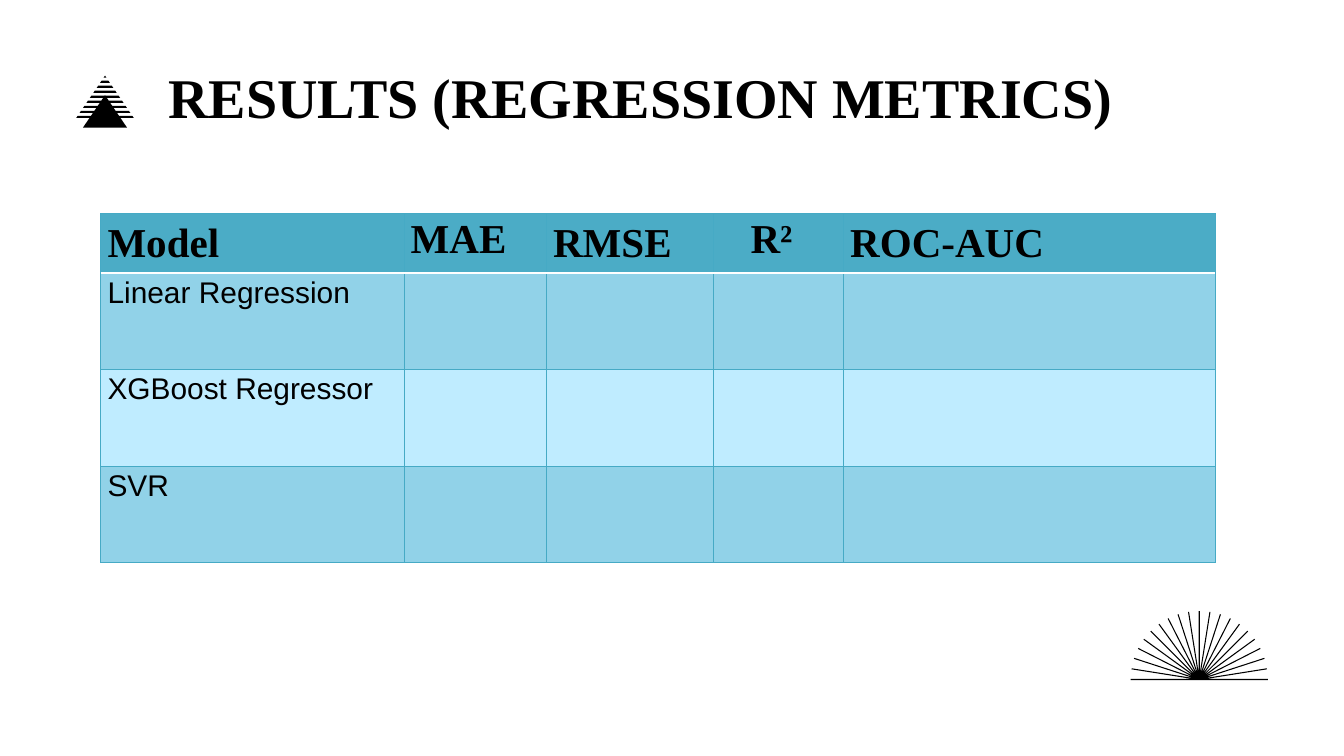
from math import cos, radians, sin

from lxml.etree import SubElement
from pptx import Presentation
from pptx.dml.color import RGBColor
from pptx.enum.text import MSO_ANCHOR
from pptx.oxml.ns import qn
from pptx.util import Cm, Pt

COLORS = {
    "ink": "000000",
    "paper": "FFFFFF",
    "head": "4BACC6",
    "dark": "91D2E8",
    "light": "BFECFF",
    "line": "46AAC5",
}
SERIF = "Times New Roman"
SANS = "Arial"


def rgb(name):
    return RGBColor.from_string(COLORS[name])


def write(frame, text, size=32, font=SANS, bold=False, color="ink"):
    par = frame.paragraphs[0]
    run = par.add_run()
    run.text = text
    run.font.size = Pt(size)
    run.font.name = font
    run.font.bold = bold
    run.font.color.rgb = rgb(color)


def edge(cell, side, color, width):
    """Draw one border; side is L, R, T or B, called in that order."""
    line = SubElement(cell._tc.get_or_add_tcPr(), qn(f"a:ln{side}"), w=str(Pt(width)))
    fill = SubElement(line, qn("a:solidFill"))
    SubElement(fill, qn("a:srgbClr"), val=COLORS[color])


def peak(mid, top, slope=0.68, pitch=0.19, thick=0.08):
    """Outlines of a striped triangle merged with a smaller solid one."""
    front, base = top + 0.74, top + 1.97
    bands = [(top + pitch * i, top + pitch * i + thick) for i in range(9)]

    def mirror(right):
        left = [(2 * mid - x, y) for x, y in reversed(right)]
        return right + left

    def side(y, apex):
        return mid + slope * (y - apex), y

    loops = [mirror([side(y, top) for y in band]) for band in bands[:4]]
    right = [side(front, front)]
    for start, end in bands[4:]:
        right += [side(start, front), side(start, top),
                  side(end, top), side(end, front)]
    right.append(side(base, front))
    return loops + [mirror(right)]


def sun(x, y, radius, half=0.02, step=9):
    """Outline of a half circle of thin rays that merge near the centre."""
    inner = half / sin(radians(step / 2))
    points = []
    for angle in range(0, 181, step):
        turn = radians(angle)
        for side in (half, -half):
            # The side of the last ray is flipped in y, which closes the base.
            points.append((x + radius * cos(turn) + side * sin(turn),
                           y - radius * sin(turn) + side * cos(turn)))
        if angle < 180:
            gap = radians(angle + step / 2)
            points.append((x + inner * cos(gap), y - inner * sin(gap)))
    return [points]


class Deck:
    def __init__(self):
        self.prs = Presentation()
        self.prs.slide_width = Cm(50.8)
        self.prs.slide_height = Cm(28.58)
        self.slide = self.prs.slides.add_slide(self.prs.slide_layouts[6])

    def shape(self, loops):
        """Fill closed outlines, given as lists of points in cm, as one shape."""
        loops = [[(Cm(x), Cm(y)) for x, y in loop] for loop in loops]
        pen = self.slide.shapes.build_freeform(*loops[0][0])
        for loop in loops:
            if loop is not loops[0]:
                pen.move_to(*loop[0])
            pen.add_line_segments(loop[1:], close=True)
        form = pen.convert_to_shape()
        form.shadow.inherit = False
        form.fill.solid()
        form.fill.fore_color.rgb = rgb("ink")
        form.line.fill.background()

    def title(self, text, left, top, width, height):
        box = self.slide.shapes.add_textbox(Cm(left), Cm(top), Cm(width), Cm(height))
        frame = box.text_frame
        frame.word_wrap = True
        frame.vertical_anchor = MSO_ANCHOR.BOTTOM
        write(frame, text, size=60, font=SERIF, bold=True)

    def table(self, heads, names, left, top, widths, head, body):
        heights = [head] + [body] * len(names)
        grid = self.slide.shapes.add_table(
            len(heights), len(widths), Cm(left), Cm(top),
            Cm(sum(widths)), Cm(sum(heights))).table
        for col, width in zip(grid.columns, widths):
            col.width = Cm(width)
        for row, height in zip(grid.rows, heights):
            row.height = Cm(height)
        for r in range(len(heights)):
            for c in range(len(widths)):
                self.cell(grid.cell(r, c), r)
        for c, text in enumerate(heads):
            write(grid.cell(0, c).text_frame, text, size=44, font=SERIF, bold=True)
        for r, text in enumerate(names, 1):
            write(grid.cell(r, 0).text_frame, text)
        return grid

    def cell(self, cell, row):
        """Give a cell its borders and banded fill."""
        thin, rule = ("line", 0.75), ("paper", 2)
        edge(cell, "L", *thin)
        edge(cell, "R", *thin)
        edge(cell, "T", *(rule if row == 1 else thin))
        edge(cell, "B", *(rule if row == 0 else thin))
        cell.fill.solid()
        band = "dark" if row % 2 else "light"
        cell.fill.fore_color.rgb = rgb(band if row else "head")


def main():
    deck = Deck()
    deck.shape(peak(3.97, 2.86) + sun(45.33, 25.69, 2.59))
    deck.title("RESULTS (REGRESSION METRICS)", 6.12, 2.2, 39.57, 2.82)
    grid = deck.table(
        ["Model", "MAE", "RMSE", "R²", "ROC-AUC"],
        ["Linear Regression", "XGBoost Regressor", "SVR"],
        3.81, 8.08, [11.46, 5.38, 6.3, 4.93, 14.05], head=2.24, body=3.65)
    for col in (0, 2, 4):
        grid.cell(0, col).vertical_anchor = MSO_ANCHOR.MIDDLE
    grid.cell(0, 3).margin_left = Cm(1.42)
    deck.prs.save("out.pptx")


if __name__ == "__main__":
    main()
